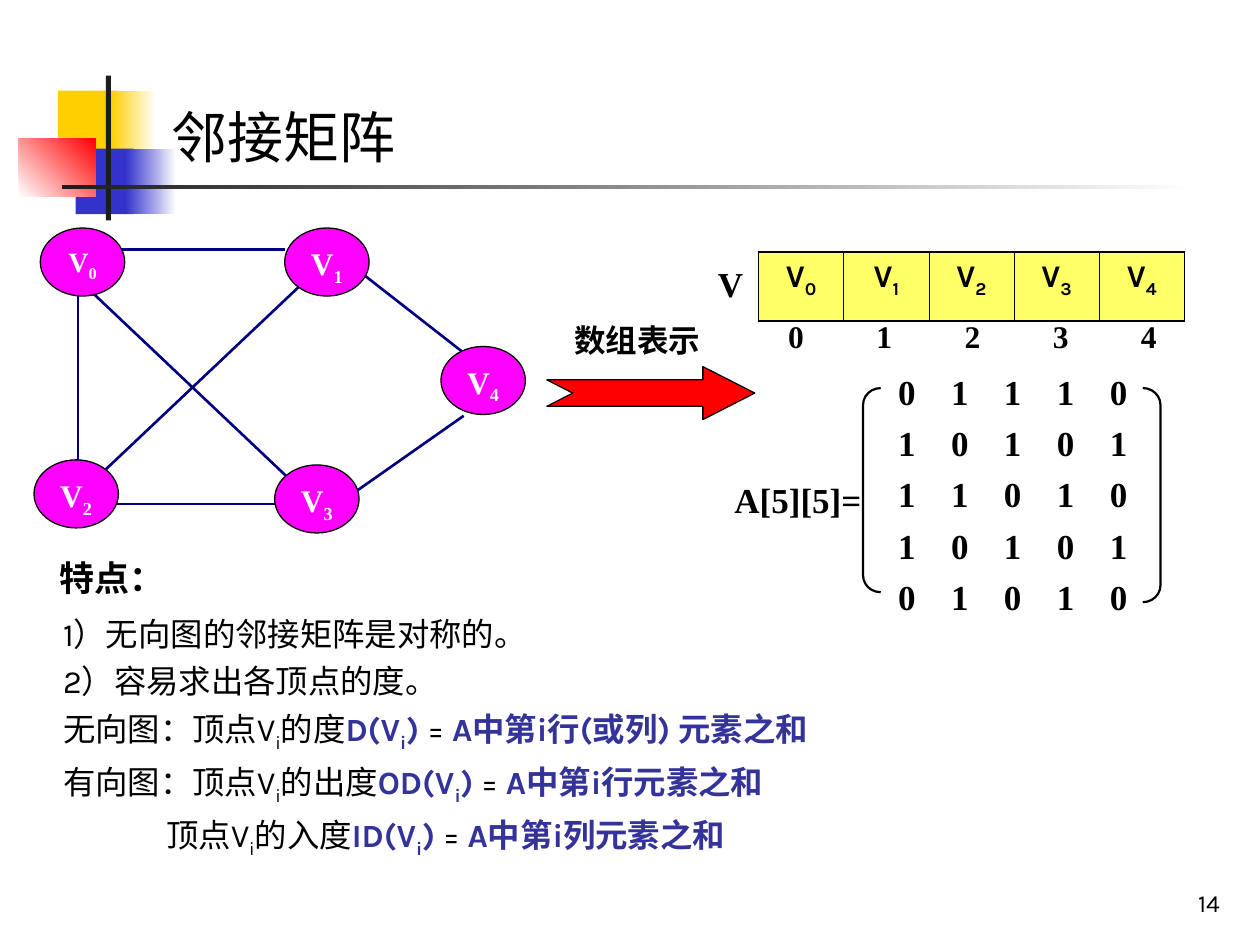
import dataclasses

import pptx
import pptx.dml.color
import pptx.enum.shapes
import pptx.enum.text
import pptx.oxml.ns
import pptx.util
from lxml import etree

Inches = pptx.util.Inches
Pt = pptx.util.Pt
qn = pptx.oxml.ns.qn
Shape = pptx.enum.shapes.MSO_SHAPE
Align = pptx.enum.text.PP_ALIGN
Anchor = pptx.enum.text.MSO_ANCHOR


@dataclasses.dataclass(frozen=True)
class Theme:
    black: str = "000000"
    white: str = "FFFFFF"
    rule: str = "1C1C1C"
    yellow: str = "FFCF01"
    blue: str = "3333CC"
    red: str = "FF0000"
    node: str = "FF00FF"
    edge: str = "000080"
    cell: str = "FFFF66"
    strong: str = "333399"
    sans: str = "Karla"
    serif: str = "Times New Roman"
    cjk: str = "Noto Sans CJK JP"
    title: float = 32
    large: float = 20
    body: float = 18.5
    label: float = 18
    small: float = 16
    number: float = 14


T = Theme()


def rgb(value):
    return pptx.dml.color.RGBColor.from_string(value)


def write(p, text, size=T.label, font=T.serif, color=T.black, bold=False):
    """Append text to a paragraph; the character after "_" is a subscript."""
    first, *rest = text.split("_")
    pieces = [(first, False)]
    for part in rest:
        pieces += [(part[0], True), (part[1:], False)]
    for piece, lowered in pieces:
        if not piece:
            continue
        r = p.add_run()
        r.text = piece
        f = r.font
        f.size, f.name, f.bold = Pt(size), font, bold
        f.color.rgb = rgb(color)
        rpr = r._r.get_or_add_rPr()
        etree.SubElement(rpr, qn("a:ea"), typeface=T.cjk)
        if lowered:
            rpr.set("baseline", "-25000")


def set_tabs(p, stops, align="l"):
    tabs = etree.SubElement(p._p.get_or_add_pPr(), qn("a:tabLst"))
    for stop in stops:
        etree.SubElement(tabs, qn("a:tab"), pos=str(Inches(stop)), algn=align)


def add_box(s, x, y, w, h, wrap=True):
    tf = s.shapes.add_textbox(Inches(x), Inches(y), Inches(w), Inches(h)).text_frame
    tf.word_wrap = wrap
    return tf


def add_shape(s, kind, x, y, w, h, fill=None, fade=None, angle=0, line=None, width=0.75):
    """Add a preset shape, filled plainly or fading from fill to fade."""
    sp = s.shapes.add_shape(kind, Inches(x), Inches(y), Inches(w), Inches(h))
    sp.shadow.inherit = False
    if fade:
        sp.fill.gradient()
        sp.fill.gradient_angle = angle
        for stop, color, pos in zip(sp.fill.gradient_stops, (fill, fade), (0, 1)):
            stop.color.rgb = rgb(color)
            stop.position = pos
    elif fill:
        sp.fill.solid()
        sp.fill.fore_color.rgb = rgb(fill)
    else:
        sp.fill.background()
    if line:
        sp.line.color.rgb = rgb(line)
        sp.line.width = Pt(width)
    else:
        sp.line.fill.background()
    return sp


def add_ornament(s, x, y):
    rect = Shape.RECTANGLE
    add_shape(s, rect, x + 0.31, y + 0.12, 0.48, 0.52, T.yellow)
    add_shape(s, rect, x + 0.73, y + 0.12, 0.36, 0.52, T.yellow, T.white)
    add_shape(s, rect, x + 0.45, y + 0.58, 0.46, 0.52, T.blue)
    add_shape(s, rect, x + 0.85, y + 0.58, 0.4, 0.52, T.blue, T.white)
    add_shape(s, rect, x, y + 0.5, 0.61, 0.46, T.white, T.red, angle=45)
    add_shape(s, rect, x + 0.69, y, 0.04, 1.15, T.rule)
    add_shape(s, rect, x + 0.34, y + 0.87, 9, 0.03, T.rule, T.white)


def place(sp, x, y, w, h):
    """Move a placeholder and return its text frame, anchored at the top."""
    sp.left, sp.top, sp.width, sp.height = map(Inches, (x, y, w, h))
    tf = sp.text_frame
    tf.auto_size = pptx.enum.text.MSO_AUTO_SIZE.NONE
    tf.vertical_anchor = Anchor.TOP
    return tf


def add_title(s, x, y, w, h):
    p = place(s.shapes.title, x, y, w, h).paragraphs[0]
    p.alignment = Align.LEFT
    write(p, "邻接矩阵", size=T.title, font=T.cjk)


def add_features(s, x, y, w, h):
    p = add_box(s, x - 0.03, y - 0.52, 4.91, 0.52).paragraphs[0]
    p.line_spacing = 1.2
    write(p, "特点：", size=T.large, font=T.sans, bold=True)

    lines = [
        ("1）无向图的邻接矩阵是对称的。",),
        ("2）容易求出各顶点的度。",),
        ("无向图：顶点V_i的度", "D(V_i) ", "= ", "A中第i行(或列) 元素之和"),
        ("有向图：顶点V_i的出度", "OD(V_i)", " = ", "A中第i行元素之和"),
        ("顶点V_i的入度", "ID(V_i)", " = ", "A中第i列元素之和"),
    ]
    tf = place(s.placeholders[1], x, y, w, h)
    for i, parts in enumerate(lines):
        p = tf.paragraphs[0] if i == 0 else tf.add_paragraph()
        p.space_before = Pt(5 if i else 0)
        ppr = p._p.get_or_add_pPr()
        ppr.set("marL", str(Inches(0.82 if i == len(lines) - 1 else 0)))
        ppr.set("indent", "0")
        etree.SubElement(ppr, qn("a:buNone"))
        for k, part in enumerate(parts):
            strong = k % 2 == 1
            write(p, part, size=T.body, font=T.sans, bold=strong,
                  color=T.strong if strong else T.black)


def add_graph(s, x, y):
    edges = [
        (0.35, 0.45, 0.35, 1.88), (0.57, 0.17, 1.99, 0.17),
        (0.49, 2.19, 1.91, 2.19), (0.48, 2, 2.13, 0.44),
        (2.12, 2.08, 0.45, 0.5), (2.59, 0.35, 3.41, 0.99),
        (3.41, 1.49, 2.57, 2.08),
    ]
    for x1, y1, x2, y2 in edges:
        c = s.shapes.add_connector(
            pptx.enum.shapes.MSO_CONNECTOR.STRAIGHT,
            Inches(x + x1), Inches(y + y1), Inches(x + x2), Inches(y + y2))
        c.line.color.rgb = rgb(T.edge)
        c.line.width = Pt(1.5)
        etree.SubElement(c._element.spPr, qn("a:effectLst"))

    nodes = [(0.05, 0), (1.99, 0), (0, 1.84), (1.91, 1.88), (3.23, 0.94)]
    for i, (dx, dy) in enumerate(nodes):
        sp = add_shape(s, Shape.OVAL, x + dx, y + dy, 0.67, 0.54, T.node, line=T.black)
        tf = sp.text_frame
        tf.word_wrap = False
        tf.vertical_anchor = Anchor.TOP
        tf.paragraphs[0].alignment = Align.CENTER
        write(tf.paragraphs[0], f"V_{i}", size=T.label if i else T.small,
              color=T.white, bold=True)


def add_arrow(s, x, y):
    sp = add_shape(s, Shape.NOTCHED_RIGHT_ARROW, x, y + 0.41, 1.65, 0.42,
                   T.red, line=T.black)
    sp.adjustments[1] = 0.98
    write(add_box(s, x + 0.12, y, 1.65, 0.4).paragraphs[0], "数组表示", bold=True)


def set_border(cell, side, width):
    ln = etree.Element(qn(f"a:ln{side}"), w=str(Pt(width)))
    fill = etree.SubElement(ln, qn("a:solidFill"))
    etree.SubElement(fill, qn("a:srgbClr"), val=T.black)
    cell._tc.get_or_add_tcPr().insert("LRTB".index(side), ln)


def add_vertices(s, x, y, w, h, count=5):
    table = s.shapes.add_table(1, count, Inches(x), Inches(y), Inches(w), Inches(h)).table
    table.first_row = table.horz_banding = False
    for i, cell in enumerate(table.rows[0].cells):
        cell.fill.solid()
        cell.fill.fore_color.rgb = rgb(T.cell)
        p = cell.text_frame.paragraphs[0]
        p.alignment = Align.CENTER
        write(p, f"V_{i}", font=T.sans, bold=True)
        widths = (1.08 if i == 0 else 0.45, 1.08 if i == count - 1 else 0.45, 1.08, 1.08)
        for side, width in zip("LRTB", widths):
            set_border(cell, side, width)

    tf = add_box(s, x - 0.42, y + 0.1, 4.04, 0.79)
    name, indices = tf.paragraphs[0], tf.add_paragraph()
    name.line_spacing = indices.line_spacing = 0.8
    indices.space_before = Pt(11.2)
    set_tabs(indices, [0.62 + 0.7 * i for i in range(count)], "ctr")
    write(name, "V", size=T.large, bold=True)
    write(indices, "".join(f"\t{i}" for i in range(count)), bold=True)


def add_matrix(s, x, y):
    write(add_box(s, x, y + 0.77, 1.29, 0.44, wrap=False).paragraphs[0],
          "A[5][5]=", size=T.large, bold=True)
    tf = add_box(s, x + 1.3, y, 2.54, 1.96)
    for i, row in enumerate(("01110", "10101", "11010", "10101", "01010")):
        p = tf.paragraphs[0] if i == 0 else tf.add_paragraph()
        p.line_spacing = 0.7
        p.space_before = Pt(12.5 if i else 0)
        set_tabs(p, [0.42 * k for k in range(1, len(row))])
        write(p, "\t".join(row), size=T.large, bold=True)
    for kind, dx, h in ((Shape.LEFT_BRACKET, 1.12, 1.62), (Shape.RIGHT_BRACKET, 3.34, 1.7)):
        sp = add_shape(s, kind, x + dx, y + 0.1, 0.14, h, line=T.black, width=1.25)
        sp.adjustments[0] = 0.95


def add_number(s, x, y, w, h):
    tf = add_box(s, x, y, w, h)
    tf.vertical_anchor = Anchor.BOTTOM
    tf.paragraphs[0].alignment = Align.RIGHT
    write(tf.paragraphs[0], "14", size=T.number, font=T.sans)


def main():
    prs = pptx.Presentation()
    prs.slide_width, prs.slide_height = Inches(10), Inches(7.5)
    s = prs.slides.add_slide(prs.slide_layouts[1])
    add_ornament(s, 0.15, 0.6)
    add_title(s, 1.26, 0.76, 8.74, 0.64)
    add_graph(s, 0.27, 1.81)
    add_arrow(s, 4.34, 2.5)
    add_vertices(s, 6.02, 2, 3.38, 0.55)
    add_matrix(s, 5.73, 2.98)
    add_features(s, 0.4, 4.82, 9.6, 2.18)
    add_number(s, 7.7, 6.83, 2.08, 0.5)
    prs.save("out.pptx")


if __name__ == "__main__":
    main()
